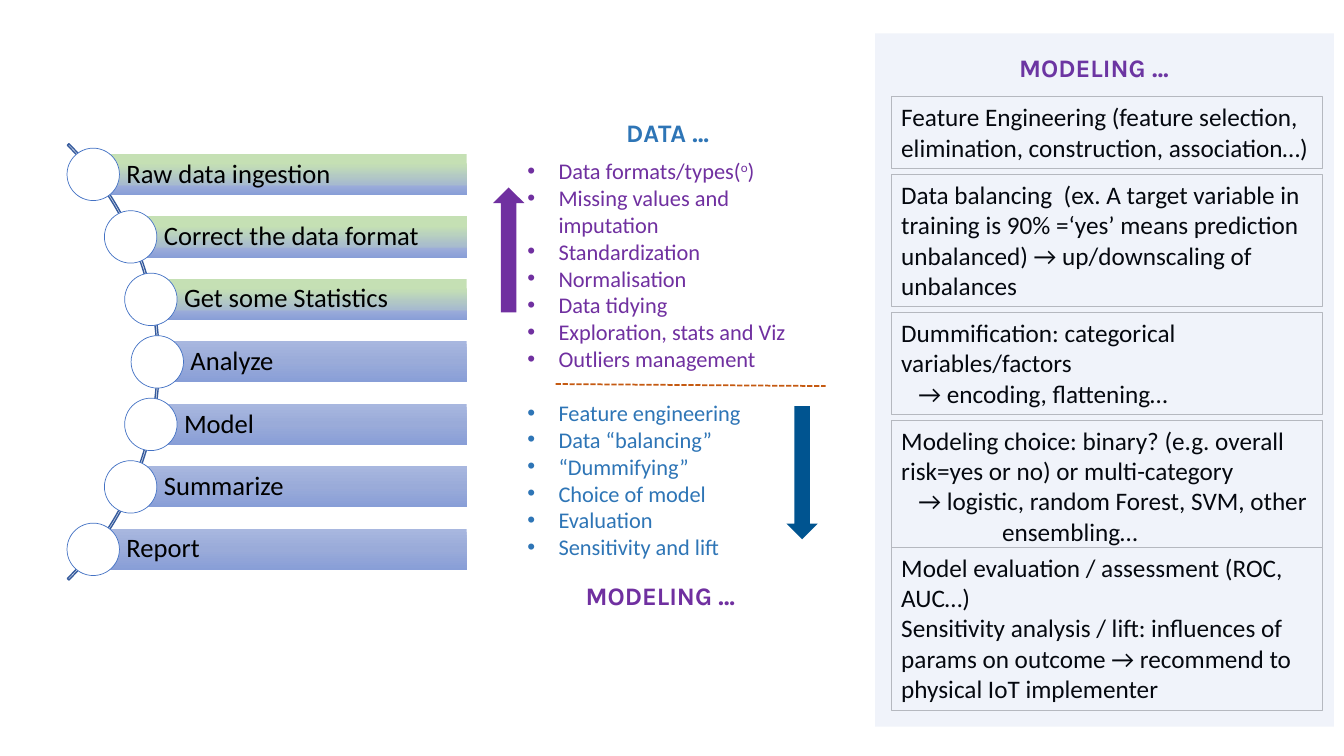
"""Build the data pipeline and modeling overview slide."""
import math
from dataclasses import dataclass

import lxml.etree
import pptx
import pptx.dml.color
import pptx.enum.dml
import pptx.enum.shapes
import pptx.enum.text
import pptx.oxml.ns
import pptx.util

PX = 9144
SHAPE = pptx.enum.shapes.MSO_SHAPE
ANCHOR = pptx.enum.text.MSO_ANCHOR
qn = pptx.oxml.ns.qn


@dataclass(frozen=True)
class Theme:
    body: str = "Calibri"
    head: str = "Karla"
    black: str = "000000"
    white: str = "FFFFFF"
    purple: str = "7030A0"
    blue: str = "2E75B6"
    navy: str = "005490"
    accent: str = "4472C4"
    arc: str = "365B9D"
    border: str = "BFBFBF"
    orange: str = "C55A11"
    done: tuple = ((0, "C5E0B4"), (23, "C5E0B4"), (74, "A7BBCE"), (79, "9AABD9"), (100, "889ED7"))
    todo: tuple = ((0, "A8B7DF"), (50, "9AABD9"), (100, "889ED7"))
    step_pt: int = 19
    text_pt: int = 18
    list_pt: int = 16


T = Theme()
STEPS = ["Raw data ingestion", "Correct the data format", "Get some Statistics",
         "Analyze", "Model", "Summarize", "Report"]
DONE_STEPS = 3
DATA_TOPICS = [[("Data formats/types(", 0), ("o", 30000), (")", 0)], "Missing values and imputation",
               "Standardization", "Normalisation", "Data tidying", "Exploration, stats and Viz",
               "Outliers management"]
MODEL_TOPICS = ["Feature engineering", "Data “balancing”", "“Dummifying”", "Choice of model",
                "Evaluation", "Sensitivity and lift"]
CARDS = [
    (63, 71, [("Feature Engineering (feature selection, elimination, construction, association…)", 0, 0)]),
    (140, 131, [("Data balancing  (ex. A target variable in training is 90% =‘yes’ means prediction "
                 "unbalanced) → up/downscaling of unbalances", 0, 0)]),
    (277, 101, [("Dummification: categorical variables/factors", 0, 0),
                ("→ encoding, flattening…", 17, 0)]),
    (384, 131, [("Modeling choice: binary? (e.g. overall risk=yes or no) or multi-category", 0, 0),
                ("→ logistic, random Forest, SVM, other ensembling…", 100, -83)]),
    (510, 162, [("Model evaluation / assessment (ROC, AUC…)", 0, 0),
                ("Sensitivity analysis / lift: influences of params on outcome → recommend to "
                 "physical IoT implementer", 0, 0)]),
]


def rgb(value):
    """Return a colour from its hex code."""
    return pptx.dml.color.RGBColor.from_string(value)


def box(*px):
    """Turn px lengths into EMU."""
    return [round(v * PX) for v in px]


def assign(obj, values):
    """Set every attribute named in a dict."""
    for name, value in values.items():
        setattr(obj, name, value)


def paint(sp, fill=None, line=None, width=0.75):
    """Give a shape a solid fill and an outline, or neither."""
    for part, colour in ((sp.fill, fill), (sp.line.fill, line)):
        if colour:
            part.solid()
            part.fore_color.rgb = rgb(colour)
        else:
            part.background()
    if line:
        sp.line.width = pptx.util.Pt(width)


def add_shape(s, kind, px, **look):
    """Add a flat preset shape."""
    sp = s.shapes.add_shape(kind, *box(*px))
    sp.shadow.inherit = False
    paint(sp, **look)
    return sp


def add_gradient(sp, stops):
    """Fill a shape with a top to bottom gradient."""
    sp.fill.gradient()
    sp.fill.gradient_angle = 270
    stop_list = sp._element.spPr.find(".//" + qn("a:gsLst"))
    for stop in list(stop_list):
        stop_list.remove(stop)
    for pos, colour in stops:
        stop = lxml.etree.SubElement(stop_list, qn("a:gs"), pos=str(pos * 1000))
        lxml.etree.SubElement(stop, qn("a:srgbClr"), val=colour)


def write(p, runs, size, colour, font=T.body, bold=False, indent=None, **layout):
    """Fill a paragraph with formatted runs."""
    if isinstance(runs, str):
        runs = [(runs, 0)]
    for text, baseline in runs:
        r = p.add_run()
        r.text = text
        assign(r.font, {"size": pptx.util.Pt(size), "name": font, "bold": bold})
        r.font.color.rgb = rgb(colour)
        if baseline:
            r._r.get_or_add_rPr().set("baseline", str(baseline))
    if indent:
        for name, value in zip(("marL", "indent"), box(*indent)):
            p._p.get_or_add_pPr().set(name, str(value))
    assign(p, {"alignment": pptx.enum.text.PP_ALIGN.LEFT, **layout})


def frame(sp, wrap=True, anchor=ANCHOR.TOP, left=10):
    """Set the text frame of a shape and return it."""
    tf = sp.text_frame
    assign(tf, {"auto_size": pptx.enum.text.MSO_AUTO_SIZE.NONE, "word_wrap": wrap,
                "vertical_anchor": anchor})
    sides = ("margin_left", "margin_top", "margin_right", "margin_bottom")
    assign(tf, dict(zip(sides, box(left, 5, 10, 5))))
    return tf


def place(sp, px):
    """Move a placeholder to a box."""
    assign(sp, dict(zip(("left", "top", "width", "height"), box(*px))))
    return sp


def heading(sp, text, colour):
    """Write a bold section heading."""
    write(frame(sp, wrap=False).paragraphs[0], text, T.text_pt, colour, T.head, True)


def steps_region(s, x, y, w, h):
    """Draw the steps along an arc, each a bar with a circle."""
    pitch, bar_h, circle, radius = 62, 41, 52, 306
    arc_x, mid = x - 214, y + h / 2
    arc = add_shape(s, SHAPE.BLOCK_ARC, (arc_x - radius, mid - radius, 2 * radius, 2 * radius),
                    line=T.arc, width=1)
    for i, value in enumerate((189, 27, 0.0035)):
        arc.adjustments[i] = value
    for i, step in enumerate(STEPS):
        dy = (i - (len(STEPS) - 1) / 2) * pitch
        cx, cy = arc_x + math.sqrt((radius - 2) ** 2 - dy ** 2), mid + dy
        bar = add_shape(s, SHAPE.RECTANGLE, (cx, cy - bar_h / 2, x + w - cx, bar_h))
        add_gradient(bar, T.done if i < DONE_STEPS else T.todo)
        tf = frame(bar, anchor=ANCHOR.MIDDLE, left=33)
        write(tf.paragraphs[0], step, T.step_pt, T.black, line_spacing=0.9)
        add_shape(s, SHAPE.OVAL, (cx - circle / 2, cy - circle / 2, circle, circle),
                  fill=T.white, line=T.accent, width=0.5)


def topics_region(s, x, y, w, h):
    """Place the data and modeling topics with their headings and arrows."""
    heading(place(s.shapes.title, (x + 122, y, 122, 40)), "DATA …", T.blue)
    tf = frame(place(s.placeholders[1], (x + 24, y + 40, 298, 471)))
    for i, topic in enumerate(DATA_TOPICS + MODEL_TOPICS):
        p = tf.paragraphs[0] if i == 0 else tf.add_paragraph()
        gap = T.list_pt * 1.2 if i == len(DATA_TOPICS) else 0
        colour = T.purple if i < len(DATA_TOPICS) else T.blue
        write(p, topic, T.list_pt, colour, indent=(31, -31), line_spacing=1.0,
              space_before=pptx.util.Pt(gap), space_after=pptx.util.Pt(0))
    divider = s.shapes.add_connector(pptx.enum.shapes.MSO_CONNECTOR.STRAIGHT,
                                     *box(x + 62, y + 270, x + 330, y + 272))
    assign(divider.line, {"width": pptx.util.Pt(1.25),
                          "dash_style": pptx.enum.dml.MSO_LINE.SQUARE_DOT})
    divider.line.color.rgb = rgb(T.orange)
    lxml.etree.SubElement(divider._element.spPr, qn("a:effectLst"))
    add_shape(s, SHAPE.UP_ARROW, (x, y + 75, 31, 124), fill=T.purple)
    add_shape(s, SHAPE.UP_ARROW, (x + 291, y + 292, 31, 132), fill=T.navy).rotation = 180
    heading(s.shapes.add_textbox(*box(x + 82, y + h - 40, 194, 40)), "MODELING …", T.purple)


def modeling_region(s, x, y, w, h):
    """Stack the modeling cards under a translucent panel."""
    for top, height, lines in CARDS:
        card = s.shapes.add_textbox(*box(x + 16, y + top, w - 27, height))
        paint(card, fill=T.white, line=T.border)
        tf = frame(card)
        for i, (text, margin, indent) in enumerate(lines):
            p = tf.paragraphs[0] if i == 0 else tf.add_paragraph()
            write(p, text, T.text_pt, T.black, indent=(margin, indent))
    title = s.shapes.add_textbox(*box(x + 133, y + 14, 194, 40))
    paint(title, fill=T.white)
    heading(title, "MODELING …", T.purple)
    panel = add_shape(s, SHAPE.RECTANGLE, (x, y, w, h), fill=T.accent)
    colour = panel._element.spPr.find(qn("a:solidFill")).find(qn("a:srgbClr"))
    lxml.etree.SubElement(colour, qn("a:alpha"), val="8000")


def main():
    """Build the slide and save it."""
    prs = pptx.Presentation()
    assign(prs, dict(zip(("slide_width", "slide_height"), box(1333, 750))))
    s = prs.slides.add_slide(prs.slide_layouts[1])
    steps_region(s, 66, 147, 397, 424)
    topics_region(s, 489, 111, 330, 500)
    modeling_region(s, 868, 33, 455, 688)
    prs.save("out.pptx")


if __name__ == "__main__":
    main()
